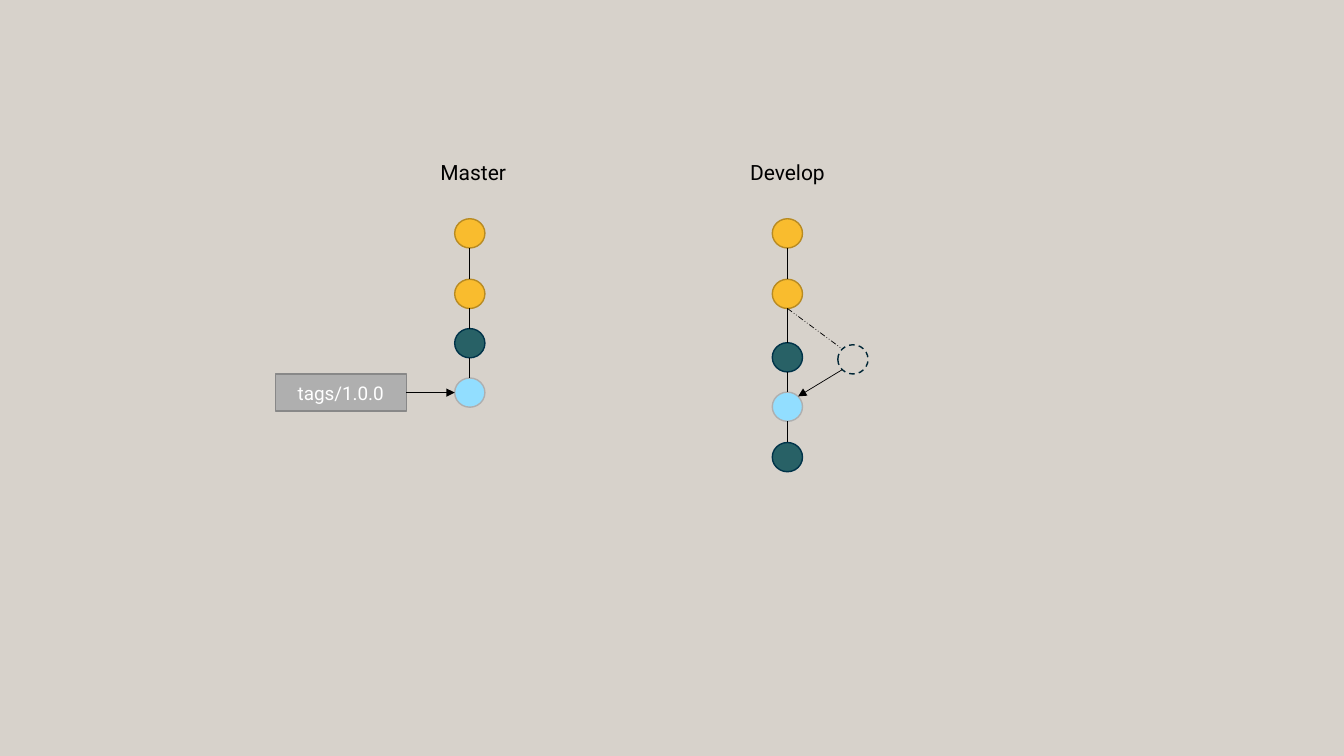
from math import cos, radians, sin

from lxml.etree import SubElement
from pptx import Presentation
from pptx.dml.color import RGBColor
from pptx.enum.dml import MSO_LINE
from pptx.enum.shapes import MSO_CONNECTOR, MSO_SHAPE
from pptx.enum.text import MSO_ANCHOR, PP_ALIGN
from pptx.oxml.ns import qn
from pptx.util import Inches, Pt

# Each branch: label, label left and width, centre x, commits as (kind, top)
BRANCHES = {
    "master": ("Master", 4.27, 1.21, 4.66, [
        ("base", 2.17), ("base", 2.77), ("work", 3.26), ("merge", 3.75)]),
    "develop": ("Develop", 7.34, 1.01, 7.81, [
        ("base", 2.17), ("base", 2.77), ("work", 3.4), ("merge", 3.89),
        ("work", 4.39)]),
}
TAG = ("tags/1.0.0", 2.73, 3.71, 1.3, 0.37)
SIDE_COMMIT = ("open", 8.46, 3.42)
LABEL_TOP, LABEL_H = 1.53, 0.35
DOT_W, DOT_H = 0.3, 0.29

THEME = {
    "font": "Roboto", "label_size": 15, "tag_size": 13.5,
    "background": "D7D2CB", "ink": "000000", "tag_ink": "FFFFFF",
    "outline": 1, "link": 0.5,
    # kind: fill, line
    "base": ("F9BC2E", "B88B22"),
    "work": ("286166", "003349"),
    "merge": ("92DEFF", "AFAFAF"),
    "open": (None, "002636"),
    "tag": ("AFAFAF", "888888"),
}


def rgb(name):
    return RGBColor.from_string(name)


def add_box(slide, preset, kind, x, y, w, h):
    sp = slide.shapes.add_shape(preset, *map(Inches, (x, y, w, h)))
    sp.shadow.inherit = False
    fill, line = THEME[kind]
    if fill:
        sp.fill.solid()
        sp.fill.fore_color.rgb = rgb(fill)
    else:
        sp.fill.background()
        sp.line.dash_style = MSO_LINE.DASH
    sp.line.color.rgb = rgb(line)
    sp.line.width = Pt(THEME["outline"])
    return sp


def add_commit(slide, kind, centre_x, top):
    add_box(slide, MSO_SHAPE.OVAL, kind, centre_x - DOT_W / 2, top, DOT_W, DOT_H)
    return centre_x, top + DOT_H / 2


def rim(centre, degrees):
    """Point on a commit's edge, clockwise from its right side."""
    x, y = centre
    a = radians(degrees)
    return x + DOT_W / 2 * cos(a), y + DOT_H / 2 * sin(a)


def add_link(slide, start, end, arrow=False, dash=None):
    link = slide.shapes.add_connector(
        MSO_CONNECTOR.STRAIGHT, *map(Inches, (*start, *end)))
    link.line.color.rgb = rgb(THEME["ink"])
    link.line.width = Pt(THEME["link"])
    if dash:
        link.line.dash_style = dash
    props = link.element.spPr
    if arrow:
        SubElement(props.find(qn("a:ln")), qn("a:tailEnd"), type="triangle")
    SubElement(props, qn("a:effectLst"))
    return link


def write(tf, text, size, color):
    r = tf.paragraphs[0].add_run()
    r.text = text
    for key, value in {"name": THEME["font"], "size": Pt(size)}.items():
        setattr(r.font, key, value)
    r.font.color.rgb = rgb(color)


def add_branch(slide, label, left, width, centre_x, commits):
    tb = slide.shapes.add_textbox(
        *map(Inches, (left, LABEL_TOP, width, LABEL_H)))
    tb.text_frame.word_wrap = True
    write(tb.text_frame, label, THEME["label_size"], THEME["ink"])
    dots = [add_commit(slide, kind, centre_x, top) for kind, top in commits]
    for upper, lower in zip(dots, dots[1:]):
        add_link(slide, rim(upper, 90), rim(lower, -90))
    return dots


def add_tag(slide, target):
    text, x, y, w, h = TAG
    sp = add_box(slide, MSO_SHAPE.RECTANGLE, "tag", x, y, w, h)
    sp.text_frame.vertical_anchor = MSO_ANCHOR.MIDDLE
    write(sp.text_frame, text, THEME["tag_size"], THEME["tag_ink"])
    sp.text_frame.paragraphs[0].alignment = PP_ALIGN.CENTER
    link = add_link(slide, (x + w, y + h / 2), rim(target, 180), arrow=True)
    link.begin_connect(sp, 3)


def main():
    prs = Presentation()
    prs.slide_width, prs.slide_height = Inches(13.33), Inches(7.5)
    slide = prs.slides.add_slide(prs.slide_layouts[6])
    slide.background.fill.solid()
    slide.background.fill.fore_color.rgb = rgb(THEME["background"])

    dots = {name: add_branch(slide, *branch) for name, branch in BRANCHES.items()}
    add_tag(slide, dots["master"][-1])

    side = add_commit(slide, *SIDE_COMMIT)
    _, fork, _, merge, _ = dots["develop"]
    add_link(slide, rim(fork, 90), rim(side, 225), dash=MSO_LINE.DASH_DOT_DOT)
    add_link(slide, rim(side, 135), rim(merge, -45), arrow=True)
    prs.save("out.pptx")


if __name__ == "__main__":
    main()
